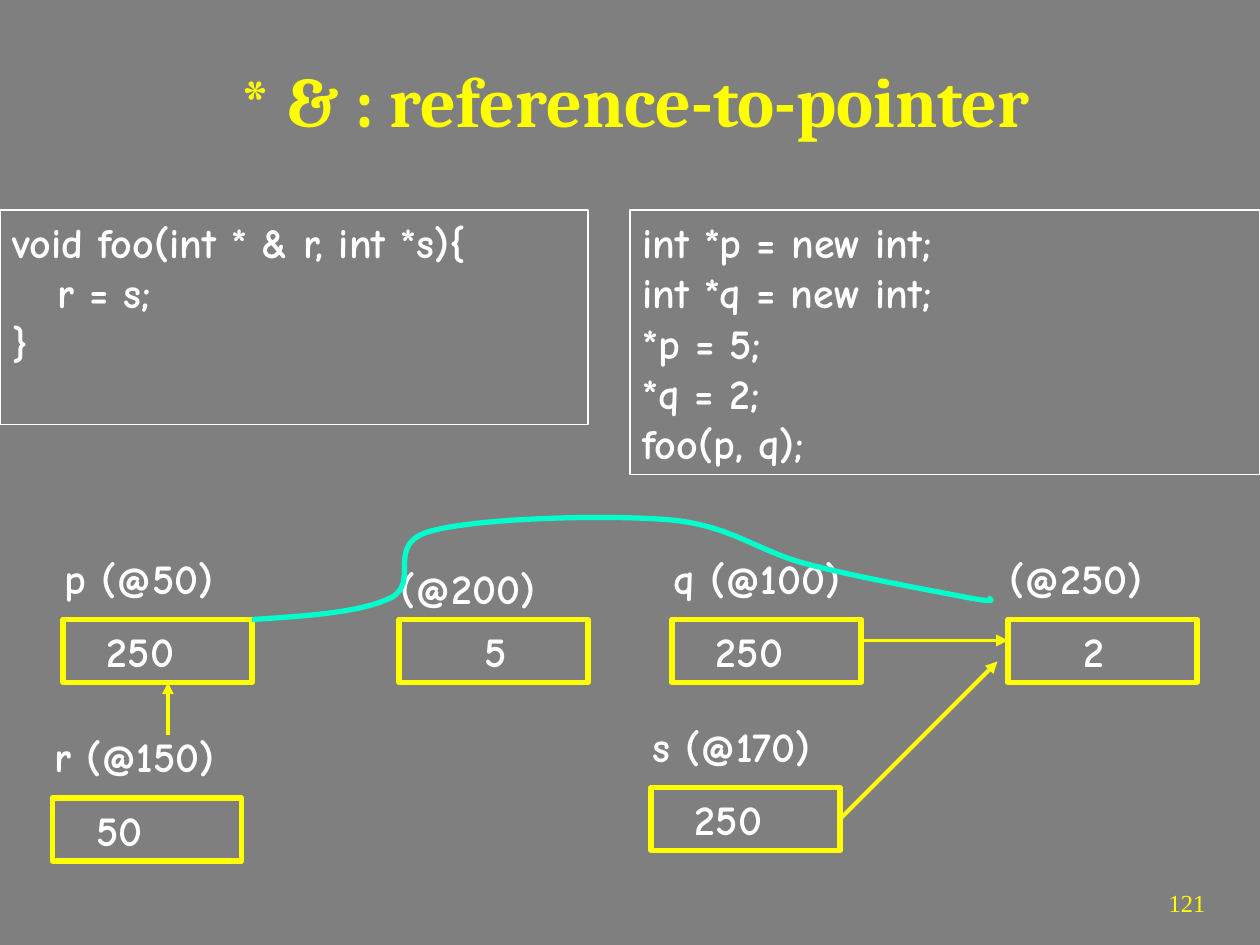
from lxml.etree import SubElement
from pptx import Presentation
from pptx.dml.color import RGBColor
from pptx.enum.shapes import MSO_CONNECTOR, MSO_SHAPE
from pptx.enum.text import MSO_ANCHOR, MSO_AUTO_SIZE, PP_ALIGN
from pptx.oxml.ns import qn
from pptx.util import Pt

WHITE, YELLOW, TEAL, GREY = "FFFFFF", "FFFF00", "00FFCC", "7F7F7F"
HAND = "Comic Neue"

# Left, top, label, label rise, value, value indent
CELLS = {
    "p": (36, 354, "p (@50)", 42, "250", 18),
    "five": (228, 354, "(@200)", 36, "5", 42),
    "q": (384, 354, "q (@100)", 42, "250", 18),
    "two": (576, 354, "(@250)", 42, "2", 36),
    "r": (30, 456, "r (@150)", 42, "50", 18),
    "s": (372, 450, "s (@170)", 42, "250", 18),
}

# Start point, then three Bezier points for each segment
CURVE = [
    (144, 354),
    (175, 352), (206.5, 350), (223.5, 341.5),
    (240.5, 332.5), (219.5, 311), (246, 303.5),
    (273, 296), (346, 294), (382, 297),
    (418, 300), (433.5, 315.5), (462, 322.5),
    (490.5, 330), (535.5, 338), (553, 341.5),
    (570, 344.5), (567.5, 343), (564.5, 341.5),
]


def paint(color, code):
    color.rgb = RGBColor.from_string(code)


def stroke(line, code, width):
    line.fill.solid()
    paint(line.color, code)
    line.width = Pt(width)


def write(frame, lines, size=24, name=HAND, code=WHITE, bold=True,
          align=PP_ALIGN.LEFT, anchor=MSO_ANCHOR.TOP):
    frame.word_wrap = True
    frame.auto_size = MSO_AUTO_SIZE.NONE
    frame.vertical_anchor = anchor
    frame.text = "\n".join(lines)
    for para in frame.paragraphs:
        para.alignment = align
        font = para.font
        font.size, font.name, font.bold = Pt(size), name, bold
        paint(font.color, code)


def add_text(slide, left, top, width, text, **style):
    box = slide.shapes.add_textbox(Pt(left), Pt(top), Pt(width), Pt(36))
    write(box.text_frame, [text], **style)


def add_rect(slide, left, top, width, height, code, weight):
    rect = slide.shapes.add_shape(
        MSO_SHAPE.RECTANGLE, Pt(left), Pt(top), Pt(width), Pt(height))
    rect.shadow.inherit = False
    rect.fill.background()
    stroke(rect.line, code, weight)
    return rect


def add_code(slide, left, width, height, lines):
    rect = add_rect(slide, left, 120, width, height, WHITE, 0.75)
    write(rect.text_frame, lines)


def add_cell(slide, left, top, label, rise, value, indent):
    """Draw a memory cell with its name above and its value inside."""
    rect = add_rect(slide, left, top, 108, 36, YELLOW, 3)
    add_text(slide, left - 6, top - rise, 156, label)
    add_text(slide, left + indent, top, 60, value)
    return rect


def add_arrow(slide, start, end):
    arrow = slide.shapes.add_connector(
        MSO_CONNECTOR.STRAIGHT, *map(Pt, start + end))
    stroke(arrow.line, YELLOW, 2.25)
    props = arrow._element.spPr
    SubElement(props.find(qn("a:ln")), qn("a:tailEnd"), type="triangle")
    SubElement(props, qn("a:effectLst"))
    return arrow


def add_curve(slide, points):
    """Build an outline, then turn each three line steps into a Bezier."""
    spots = [(Pt(x), Pt(y)) for x, y in points]
    draft = slide.shapes.build_freeform(*spots[0])
    draft.add_line_segments(spots[1:], close=False)
    curve = draft.convert_to_shape()
    curve.shadow.inherit = False
    curve.fill.background()
    stroke(curve.line, TEAL, 3)
    track = next(curve._element.iter(qn("a:path")))
    for i, step in enumerate(track.findall(qn("a:lnTo"))):
        if i % 3 == 0:
            bend = SubElement(track, qn("a:cubicBezTo"))
        bend.append(step[0])
        track.remove(step)


def add_title(slide, text):
    title = slide.shapes.title
    title.left, title.top = Pt(30), Pt(18)
    title.width, title.height = Pt(666), Pt(78)
    write(title.text_frame, [text], size=40, name="Cambria", code=YELLOW,
          align=PP_ALIGN.CENTER, anchor=MSO_ANCHOR.MIDDLE)


def main():
    deck = Presentation()
    deck.slide_width, deck.slide_height = Pt(720), Pt(540)
    slide = deck.slides.add_slide(deck.slide_layouts[5])
    back = slide.background.fill
    back.solid()
    paint(back.fore_color, GREY)

    add_title(slide, "* & : reference-to-pointer")
    add_code(slide, 0, 336, 122.5,
             ["void foo(int * & r, int *s){", "   r = s;", "}"])
    add_code(slide, 360, 360, 151,
             ["int *p = new int;", "int *q = new int;", "*p = 5;",
              "*q = 2;", "foo(p, q);"])

    cells = {key: add_cell(slide, *cell) for key, cell in CELLS.items()}
    add_arrow(slide, (492, 366), (576, 366))
    add_arrow(slide, (96, 420), (96, 390))
    add_arrow(slide, (480, 468), (570, 378)).begin_connect(cells["s"], 3)
    add_curve(slide, CURVE)
    add_text(slide, 624, 504, 72, "121", size=14, name="Times New Roman",
             code=YELLOW, bold=False, align=PP_ALIGN.RIGHT)
    deck.save("out.pptx")


if __name__ == "__main__":
    main()
